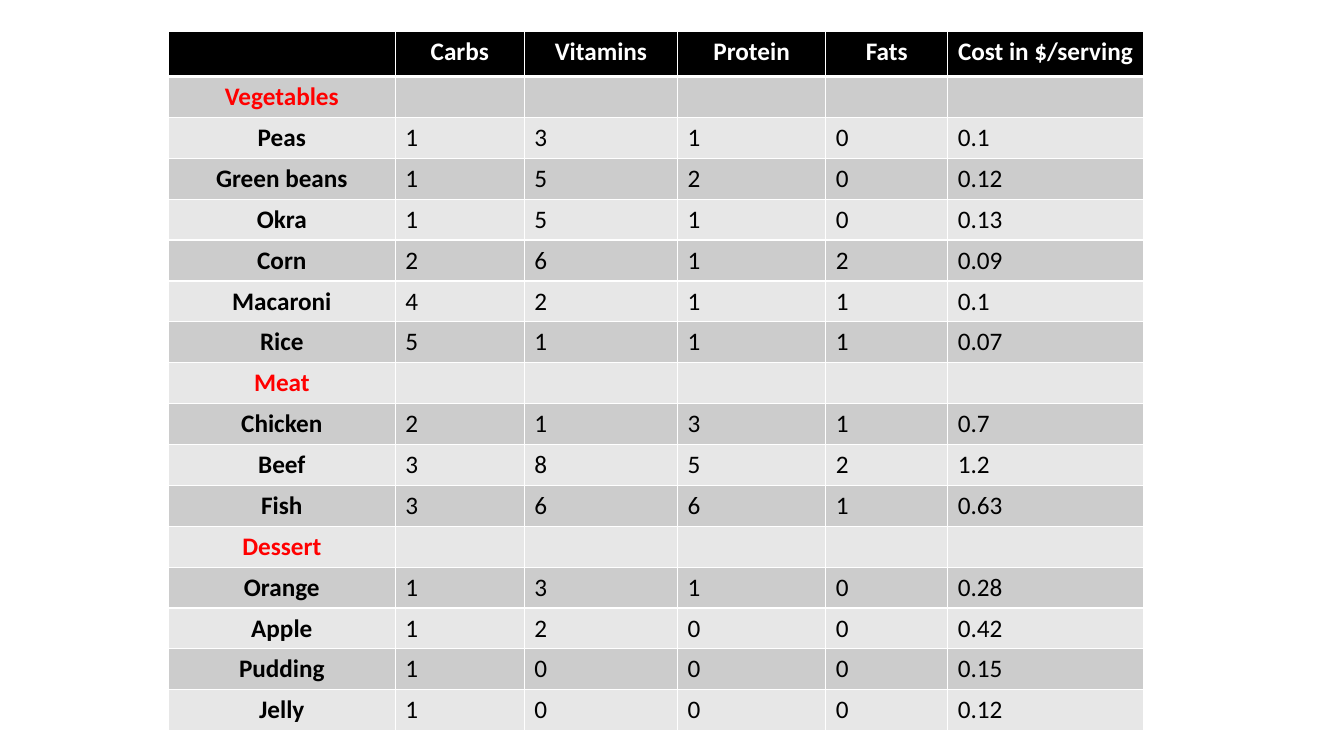
import pptx
import pptx.dml.color
import pptx.enum.text
import pptx.oxml
import pptx.oxml.ns
import pptx.util

BLACK = pptx.dml.color.RGBColor(0x00, 0x00, 0x00)
WHITE = pptx.dml.color.RGBColor(0xFF, 0xFF, 0xFF)
RED = pptx.dml.color.RGBColor(0xFF, 0x00, 0x00)
DARK_BAND = pptx.dml.color.RGBColor(0xCC, 0xCC, 0xCC)
LIGHT_BAND = pptx.dml.color.RGBColor(0xE7, 0xE7, 0xE7)

COLUMN_WIDTHS = [2.25, 1.28, 1.52, 1.47, 1.21, 1.94]
HEADER_HEIGHT, ROW_HEIGHT = 0.45, 0.38

HEADINGS = ["", "Carbs", "Vitamins", "Protein", "Fats", "Cost in $/serving"]
FOODS = [
    ["Vegetables"],
    ["Peas", "1", "3", "1", "0", "0.1"],
    ["Green beans", "1", "5", "2", "0", "0.12"],
    ["Okra", "1", "5", "1", "0", "0.13"],
    ["Corn", "2", "6", "1", "2", "0.09"],
    ["Macaroni", "4", "2", "1", "1", "0.1"],
    ["Rice", "5", "1", "1", "1", "0.07"],
    ["Meat"],
    ["Chicken", "2", "1", "3", "1", "0.7"],
    ["Beef", "3", "8", "5", "2", "1.2"],
    ["Fish", "3", "6", "6", "1", "0.63"],
    ["Dessert"],
    ["Orange", "1", "3", "1", "0", "0.28"],
    ["Apple", "1", "2", "0", "0", "0.42"],
    ["Pudding", "1", "0", "0", "0", "0.15"],
    ["Jelly", "1", "0", "0", "0", "0.12"],
]


def add_border(cell, side, points):
    cell._tc.get_or_add_tcPr().append(pptx.oxml.parse_xml(
        f'<a:{side} {pptx.oxml.ns.nsdecls("a")} w="{pptx.util.Pt(points)}">'
        f'<a:solidFill><a:srgbClr val="{WHITE}"/></a:solidFill></a:{side}>'))


# Deck and page
deck = pptx.Presentation()
deck.slide_width = pptx.util.Inches(13.33)
deck.slide_height = pptx.util.Inches(7.5)
page = deck.slides.add_slide(deck.slide_layouts[6])

# Table grid
rows = [HEADINGS] + FOODS
heights = [HEADER_HEIGHT] + [ROW_HEIGHT] * len(FOODS)
table = page.shapes.add_table(
    len(rows), len(HEADINGS), pptx.util.Inches(1.67), pptx.util.Inches(0.31),
    pptx.util.Inches(sum(COLUMN_WIDTHS)), pptx.util.Inches(sum(heights))).table
for column, width in zip(table.columns, COLUMN_WIDTHS):
    column.width = pptx.util.Inches(width)
for row, height in zip(table.rows, heights):
    row.height = pptx.util.Inches(height)

# Cells: black header, alternating bands, red group names
for row_index, texts in enumerate(rows):
    is_header = row_index == 0
    is_group = len(texts) == 1
    band = BLACK if is_header else DARK_BAND if row_index % 2 else LIGHT_BAND
    ink = WHITE if is_header else RED if is_group else BLACK
    borders = {"lnL": 1, "lnR": 1,
               "lnT": 3 if row_index == 1 else 1,
               "lnB": 3 if is_header else 1}
    for column_index in range(len(HEADINGS)):
        cell = table.cell(row_index, column_index)
        for side, points in borders.items():
            add_border(cell, side, points)
        cell.fill.solid()
        cell.fill.fore_color.rgb = band
        if column_index >= len(texts) or not texts[column_index]:
            continue
        is_label = is_header or column_index == 0
        para = cell.text_frame.paragraphs[0]
        if is_label:
            para.alignment = pptx.enum.text.PP_ALIGN.CENTER
        span = para.add_run()
        span.text = texts[column_index]
        span.font.color.rgb = ink
        text_format = {"name": "Calibri", "size": pptx.util.Pt(18), "bold": is_label}
        for attribute, value in text_format.items():
            setattr(span.font, attribute, value)

deck.save("out.pptx")
